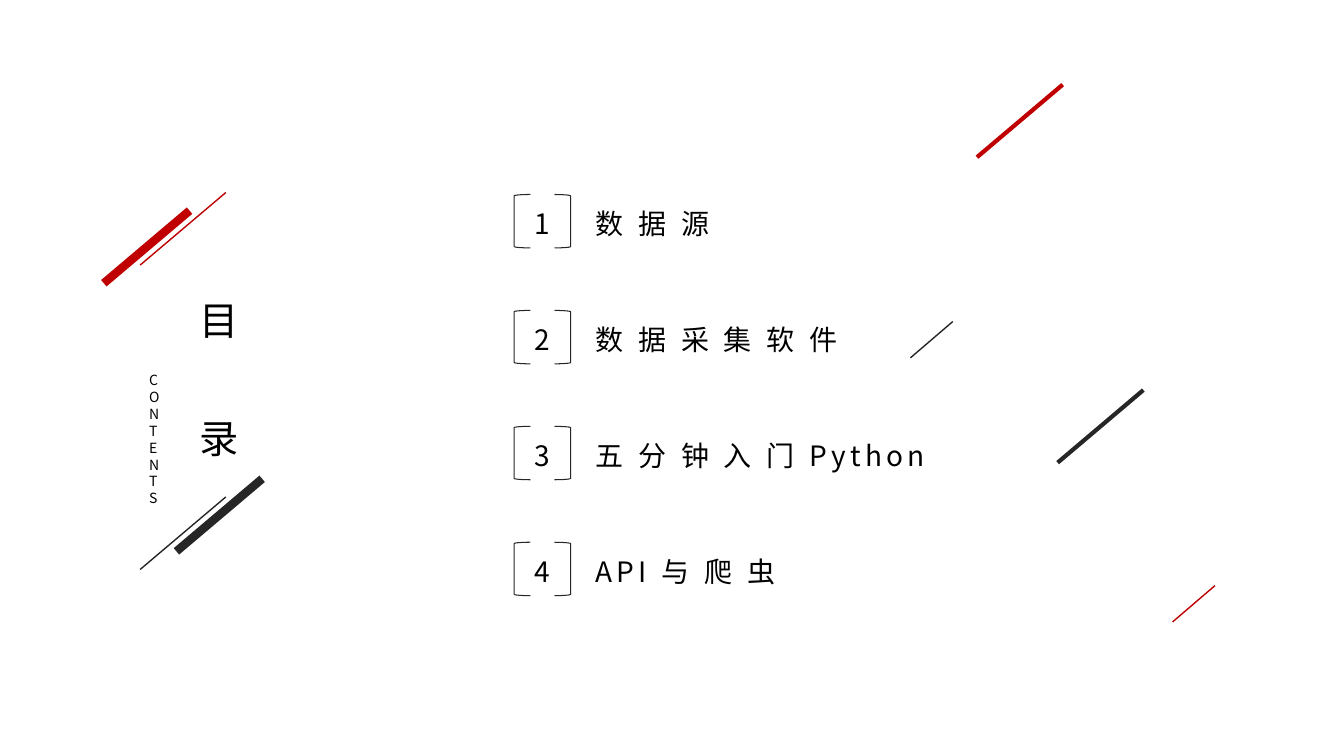
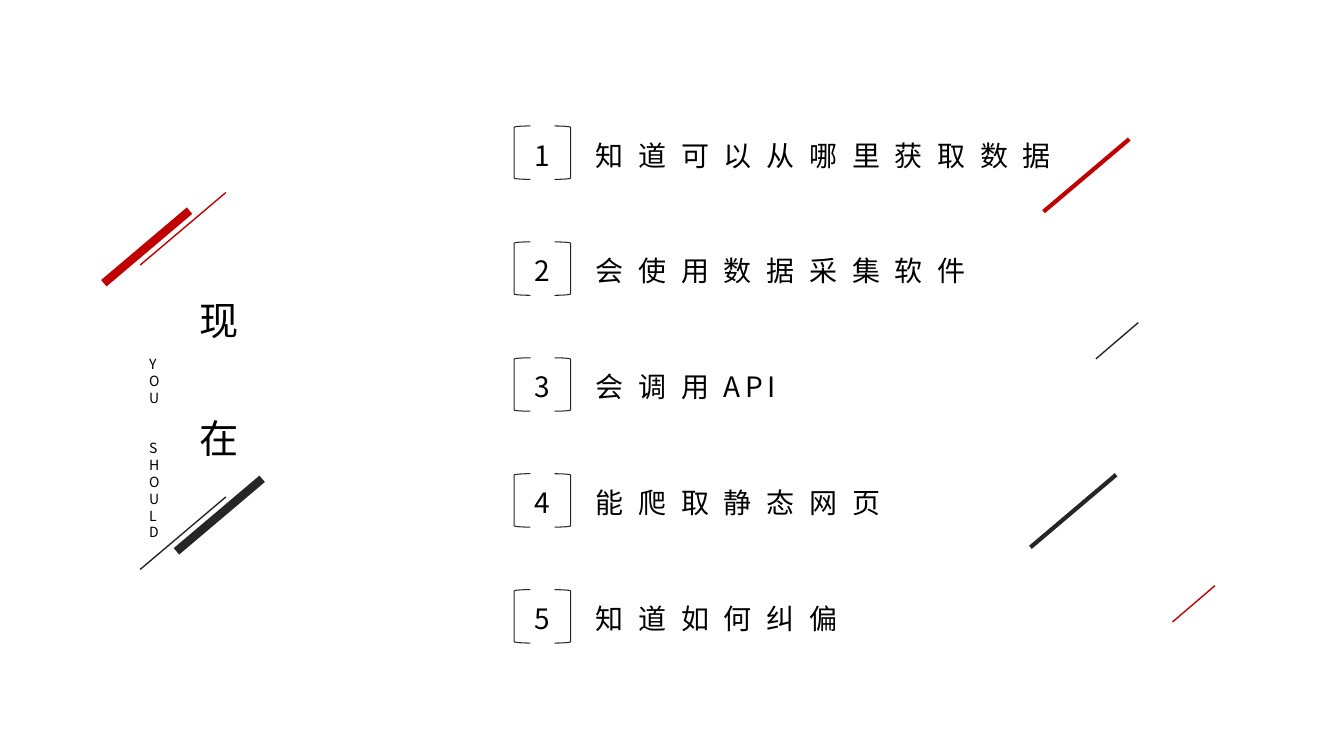
"""Build a contents slide and a skills slide that share one slanted-line design."""
from dataclasses import dataclass

import pptx
import pptx.dml.color
import pptx.enum.shapes
import pptx.enum.text
import pptx.oxml.ns
import pptx.util
from lxml import etree

Inches = pptx.util.Inches
Pt = pptx.util.Pt
Shape = pptx.enum.shapes.MSO_SHAPE
Align = pptx.enum.text.PP_ALIGN
qn = pptx.oxml.ns.qn


@dataclass(frozen=True)
class Theme:
    font: str = "Noto Sans CJK SC"
    red: str = "C00000"
    dark: str = "262626"
    text: str = "000000"
    title_size: int = 28
    item_size: int = 20
    caption_size: int = 10
    bracket_weight: float = 0.75


THEME = Theme()

LONG, SHORT = (0.85, 0.72), (0.42, 0.36)
SHARED_LINES = [
    (1.88, 2.09, LONG, THEME.red, 6),
    (2.24, 1.91, LONG, THEME.red, 1),
    (2.60, 4.75, LONG, THEME.dark, 6),
    (2.24, 4.93, LONG, THEME.dark, 1),
    (12.05, 5.81, SHORT, THEME.red, 1),
]
SLIDES = [
    {
        "title": ["目", "录"],
        "caption": ["CONTENTS"],
        "caption_box": (1.38, 3.64, 0.25, 1.32),
        "first_row": 1.93,
        "items": ["数 据 源", "数 据 采 集 软 件", "五 分 钟 入 门 Python", "API 与 爬 虫"],
        "lines": [
            (10.54, 0.84, LONG, THEME.red, 3),
            (9.45, 3.19, SHORT, THEME.dark, 1),
            (11.34, 3.87, LONG, THEME.dark, 3),
        ],
    },
    {
        "title": ["现", "在"],
        "caption": ["YOU", "SHOULD"],
        "caption_box": (1.38, 3.48, 0.25, 1.78),
        "first_row": 1.25,
        "items": [
            "知 道 可 以 从 哪 里 获 取 数 据",
            "会 使 用 数 据 采 集 软 件",
            "会 调 用 API",
            "能 爬 取 静 态 网 页",
            "知 道 如 何 纠 偏",
        ],
        "lines": [
            (11.20, 1.38, LONG, THEME.red, 3),
            (11.29, 3.20, SHORT, THEME.dark, 1),
            (11.07, 4.71, LONG, THEME.dark, 3),
        ],
    },
]

TITLE_BOX = (1.88, 2.19, 0.59, 2.46)
ROW_PITCH = 1.15
BRACKET_LEFT, BRACKET_WIDTH, BRACKET_HEIGHT = 5.10, 0.16, 0.53
BRACKET_STEP = 0.40
TEXT_DROP, TEXT_HEIGHT = 0.07, 0.44
LABEL_LEFT, LABEL_WIDTH = 5.81, 5.20


def color(value):
    return pptx.dml.color.RGBColor.from_string(value)


def add_text(shapes, box, paragraphs, *, size, wrap=True, align=Align.LEFT,
             line_spacing=None, gap=0, tracking=None):
    text_box = shapes.add_textbox(*map(Inches, box))
    frame = text_box.text_frame
    frame.word_wrap = wrap
    for index, text in enumerate(paragraphs):
        paragraph = frame.paragraphs[0] if index == 0 else frame.add_paragraph()
        paragraph.alignment = align
        if line_spacing:
            paragraph.line_spacing = line_spacing
        if index and gap:
            paragraph.space_before = Pt(gap)
        run = paragraph.add_run()
        run.text = text
        run.font.size = Pt(size)
        run.font.color.rgb = color(THEME.text)
        run.font.name = THEME.font
        properties = run.font._element
        etree.SubElement(properties, qn("a:ea")).set("typeface", THEME.font)
        if tracking:
            properties.set("spc", str(tracking * 100))
    return text_box


def add_slanted_line(shapes, right, top, span, line_color, weight):
    width, height = span
    line = shapes.add_connector(
        pptx.enum.shapes.MSO_CONNECTOR.STRAIGHT,
        *map(Inches, (right, top, right - width, top + height)))
    line.line.color.rgb = color(line_color)
    line.line.width = Pt(weight)
    etree.SubElement(line._element.spPr, qn("a:effectLst"))


def add_bracket(shapes, kind, left, top):
    bracket = shapes.add_shape(
        kind, *map(Inches, (left, top, BRACKET_WIDTH, BRACKET_HEIGHT)))
    bracket.shadow.inherit = False
    bracket.fill.background()
    bracket.line.color.rgb = color(THEME.dark)
    bracket.line.width = Pt(THEME.bracket_weight)


def add_item(slide, number, label, top):
    shapes = slide.shapes.add_group_shape().shapes
    number_box = (BRACKET_LEFT, top + TEXT_DROP, BRACKET_STEP + BRACKET_WIDTH, TEXT_HEIGHT)
    add_text(shapes, number_box, [str(number)], size=THEME.item_size, align=Align.CENTER)
    for index, kind in enumerate((Shape.LEFT_BRACKET, Shape.RIGHT_BRACKET)):
        add_bracket(shapes, kind, BRACKET_LEFT + index * BRACKET_STEP, top)
    label_box = (LABEL_LEFT, top + TEXT_DROP, LABEL_WIDTH, TEXT_HEIGHT)
    add_text(shapes, label_box, [label], size=THEME.item_size, tracking=3)


def add_list_slide(presentation, content):
    slide = presentation.slides.add_slide(presentation.slide_layouts[6])
    for line in SHARED_LINES + content["lines"]:
        add_slanted_line(slide.shapes, *line)
    add_text(slide.shapes, TITLE_BOX, content["title"], size=THEME.title_size,
             wrap=False, line_spacing=2.5)
    add_text(slide.shapes, content["caption_box"], content["caption"],
             size=THEME.caption_size, gap=24)
    for index, label in enumerate(content["items"]):
        add_item(slide, index + 1, label, content["first_row"] + index * ROW_PITCH)


def main():
    presentation = pptx.Presentation()
    presentation.slide_width = Inches(13.33)
    presentation.slide_height = Inches(7.5)
    for content in SLIDES:
        add_list_slide(presentation, content)
    presentation.save("out.pptx")


if __name__ == "__main__":
    main()
